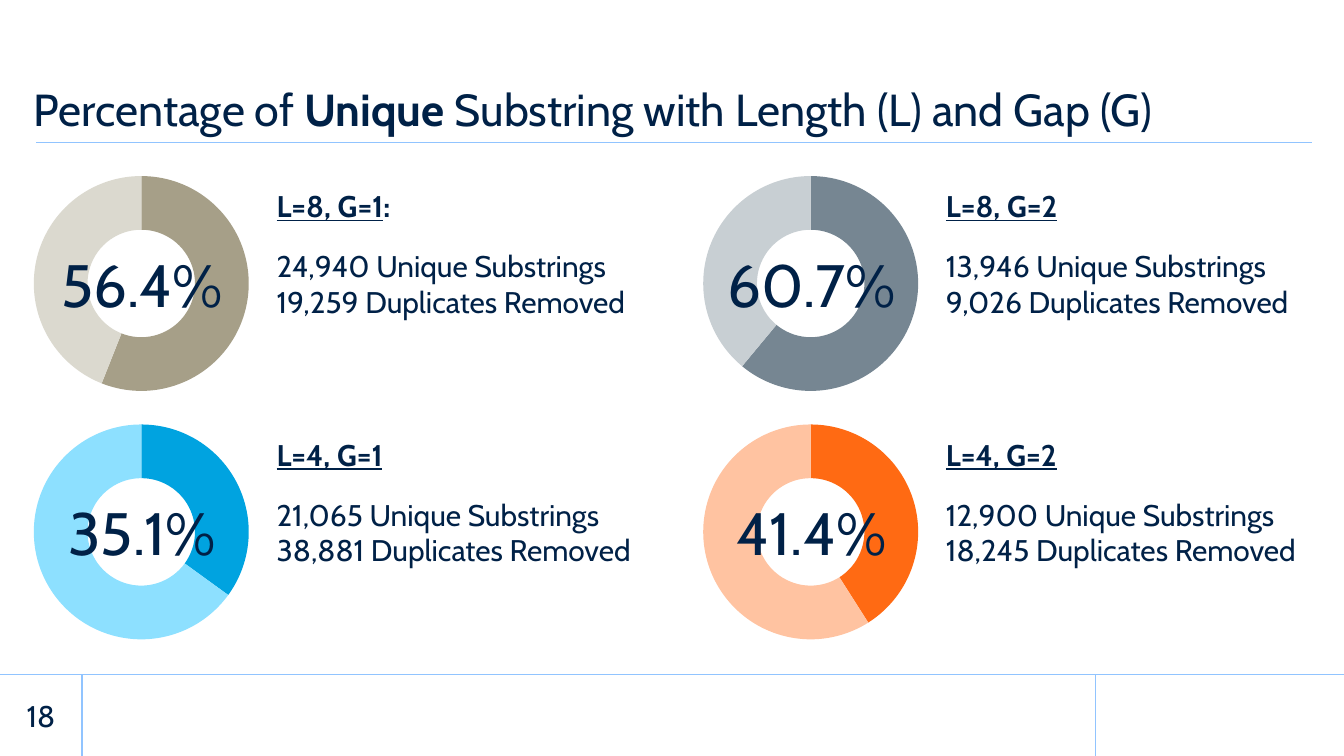
from dataclasses import dataclass

from lxml.etree import SubElement
from pptx import Presentation
from pptx.chart.data import CategoryChartData
from pptx.dml.color import RGBColor
from pptx.enum.chart import XL_CHART_TYPE
from pptx.enum.shapes import MSO_CONNECTOR
from pptx.enum.text import MSO_ANCHOR, MSO_AUTO_SIZE, PP_ALIGN
from pptx.oxml import parse_xml
from pptx.oxml.ns import nsdecls, qn
from pptx.slide import Slide
from pptx.text.text import TextFrame
from pptx.util import Pt

FONT = "Cabin"
NAVY = RGBColor(0x00, 0x21, 0x47)
RULE = RGBColor(0x91, 0xC4, 0xFF)
BLACK = RGBColor(0x00, 0x00, 0x00)

WIDTH, HEIGHT = 720, 405
FOOTER_TOP = 361.2
LEFT, TOP = 18, 94.3
COL_STEP, ROW_STEP = 358.6, 133.1
CHART_W, CHART_H = 116.6, 115.2


@dataclass
class Result:
    col: int
    row: int
    percent: str
    unique: int  # rounded share drawn in the ring
    heading: str
    suffix: str  # heading text without underline
    details: tuple[str, str]
    dark: RGBColor
    light: RGBColor


RESULTS = [
    Result(0, 0, "56.4%", 56, "L=8, G=1", ":",
           ("24,940 Unique Substrings", "19,259 Duplicates Removed"),
           RGBColor(0xA6, 0x9F, 0x88), RGBColor(0xDB, 0xD9, 0xCF)),
    Result(1, 0, "60.7%", 61, "L=8, G=2", "",
           ("13,946 Unique Substrings", "9,026 Duplicates Removed"),
           RGBColor(0x76, 0x86, 0x92), RGBColor(0xC8, 0xCF, 0xD3)),
    Result(0, 1, "35.1%", 35, "L=4, G=1", "",
           ("21,065 Unique Substrings", "38,881 Duplicates Removed"),
           RGBColor(0x00, 0xA3, 0xE0), RGBColor(0x8D, 0xE0, 0xFF)),
    Result(1, 1, "41.4%", 41, "L=4, G=2", "",
           ("12,900 Unique Substrings", "18,245 Duplicates Removed"),
           RGBColor(0xFF, 0x6A, 0x13), RGBColor(0xFF, 0xC3, 0xA1)),
]


def format_text(tf: TextFrame, size: float, align: PP_ALIGN = PP_ALIGN.LEFT) -> None:
    for p in tf.paragraphs:
        p.alignment = align
        for r in p.runs:
            r.font.name, r.font.size = FONT, Pt(size)
            r.font.color.rgb = NAVY


def add_text(s: Slide, x: float, y: float, w: float, h: float,
             text: str, wrap: bool = True) -> TextFrame:
    tf = s.shapes.add_textbox(Pt(x), Pt(y), Pt(w), Pt(h)).text_frame
    tf.text = text
    tf.word_wrap = wrap
    tf.vertical_anchor = MSO_ANCHOR.MIDDLE
    tf.auto_size = MSO_AUTO_SIZE.SHAPE_TO_FIT_TEXT
    return tf


def add_rule(s: Slide, x1: float, y1: float, x2: float, y2: float) -> None:
    line = s.shapes.add_connector(MSO_CONNECTOR.STRAIGHT, Pt(x1), Pt(y1), Pt(x2), Pt(y2))
    line.line.color.rgb = RULE
    line.line.width = Pt(0.75)
    SubElement(line._element.spPr, qn("a:effectLst"))


def add_ring(s: Slide, x: float, y: float, result: Result) -> None:
    data = CategoryChartData()
    data.categories = ["1", "2"]
    data.add_series("Series 1", (result.unique, 100 - result.unique))
    chart = s.shapes.add_chart(XL_CHART_TYPE.DOUGHNUT, Pt(x), Pt(y),
                               Pt(CHART_W), Pt(CHART_H), data).chart
    chart.has_legend = chart.has_title = False
    chart.font.name, chart.font.size = FONT, Pt(18)
    chart.font.color.rgb = BLACK
    plot = chart.plots[0]
    plot.vary_by_categories = True
    for i, color in enumerate((result.dark, result.light)):
        fmt = plot.series[0].points[i].format
        fmt.fill.solid()
        fmt.fill.fore_color.rgb = color
        fmt.line.fill.background()

    # Hole size and a plot area that fills the frame
    area = chart._chartSpace.chart.plotArea
    area.find(".//" + qn("c:holeSize")).set("val", "90")
    for old in area.findall(qn("c:layout")):
        area.remove(old)
    area.insert(0, parse_xml(
        f'<c:layout {nsdecls("c")}><c:manualLayout><c:layoutTarget val="inner"/>'
        '<c:xMode val="edge"/><c:yMode val="edge"/><c:x val="0"/><c:y val="0"/>'
        '<c:w val="0.99"/><c:h val="1"/></c:manualLayout></c:layout>'))


def add_result(s: Slide, result: Result) -> None:
    x = LEFT + result.col * COL_STEP
    y = TOP + result.row * ROW_STEP
    add_ring(s, x, y, result)

    tf = add_text(s, x + 3.8, y + 34.6, 108.7, 46.1, result.percent, wrap=False)
    format_text(tf, 32, PP_ALIGN.CENTER)

    tf = add_text(s, x + 123.1, y + 34.6, 218, 46.1, "\n".join(result.details))
    format_text(tf, 16)

    tf = add_text(s, x + 123.1, y + 2.6, 202.3, 26.6, result.heading)
    p = tf.paragraphs[0]
    p.runs[0].font.underline = True
    if result.suffix:
        p.add_run().text = result.suffix
    for r in p.runs:
        r.font.bold = True
    format_text(tf, 16)


def add_title(s: Slide) -> None:
    title = s.shapes.title
    title.left, title.top, title.width, title.height = Pt(18), Pt(18.7), Pt(684), Pt(57.6)
    tf = title.text_frame
    tf.word_wrap = True
    tf.auto_size = MSO_AUTO_SIZE.NONE
    tf.vertical_anchor = MSO_ANCHOR.BOTTOM
    tf.margin_left = tf.margin_top = tf.margin_right = 0
    tf.margin_bottom = Pt(3.6)
    p = tf.paragraphs[0]
    p.line_spacing = 0.9
    for text in ("Percentage of ", "Unique", " Substring with Length (L) and Gap (G)"):
        r = p.add_run()
        r.text = text
        r.font.bold = text == "Unique"
    format_text(tf, 24)


def main() -> None:
    prs = Presentation()
    prs.slide_width, prs.slide_height = Pt(WIDTH), Pt(HEIGHT)
    s = prs.slides.add_slide(prs.slide_layouts[5])

    # Footer grid and title underline
    add_rule(s, 0, FOOTER_TOP, WIDTH, FOOTER_TOP)
    for x in (44, 587):
        add_rule(s, x, FOOTER_TOP, x, HEIGHT)
    add_rule(s, 19.4, 76.3, 702.7, 76.3)

    # Slide number
    tf = add_text(s, 0, FOOTER_TOP, 44, HEIGHT - FOOTER_TOP, "18", wrap=False)
    tf.auto_size = MSO_AUTO_SIZE.NONE
    tf.margin_left = tf.margin_top = tf.margin_right = tf.margin_bottom = 0
    format_text(tf, 16, PP_ALIGN.CENTER)

    add_title(s)
    for result in RESULTS:
        add_result(s, result)
    prs.save("out.pptx")


if __name__ == "__main__":
    main()
